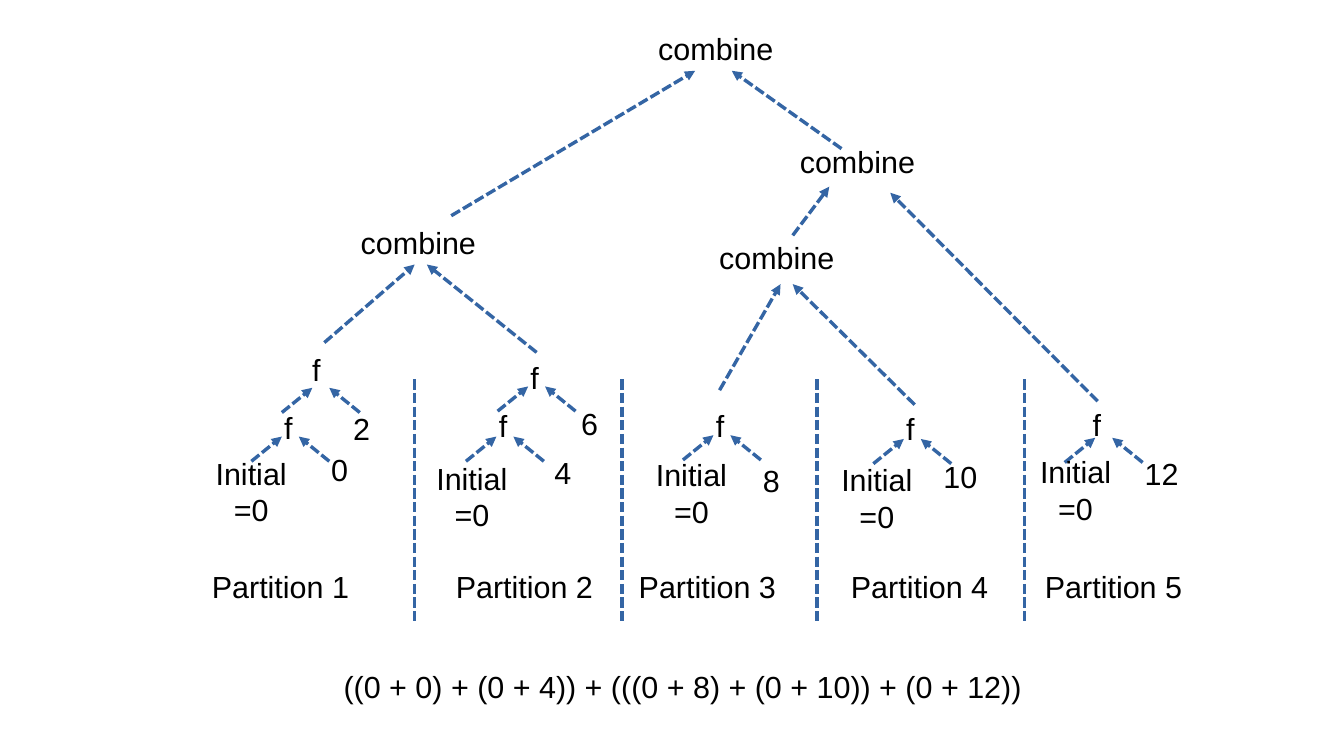
from dataclasses import dataclass

from lxml import etree
from pptx import Presentation
from pptx.dml.color import RGBColor
from pptx.enum.dml import MSO_LINE
from pptx.enum.shapes import MSO_CONNECTOR
from pptx.enum.text import MSO_ANCHOR, MSO_AUTO_SIZE, PP_ALIGN
from pptx.oxml.ns import qn
from pptx.util import Pt

STRAIGHT = MSO_CONNECTOR.STRAIGHT
DASH = MSO_LINE.SQUARE_DOT
MIDDLE = MSO_ANCHOR.MIDDLE
GROW = MSO_AUTO_SIZE.SHAPE_TO_FIT_TEXT
CENTER = PP_ALIGN.CENTER


@dataclass(frozen=True)
class Theme:
    font: str = "Arial"
    size: float = 18
    text: RGBColor = RGBColor(0, 0, 0)
    line: RGBColor = RGBColor(0x34, 0x65, 0xA4)
    line_width: float = 0


THEME = Theme()

# Box sizes as (width, height)
FUNCTION_BOX = (28, 27.4)
VALUE_BOX = (48.2, 27.4)
INITIAL_BOX = (76.3, 47.5)
COMBINE_BOX = (90.7, 37.4)
PARTITION_BOX = (144, 27.4)
FORMULA_BOX = (619.2, 47.5)

# Each partition: name centre x, initial centre, and its folds as
# (f centre, point between the arrow tips, value, value centre)
PARTITIONS = [
    (165.6, (148.3, 290.2), [
        ((170.3, 252), (171.4, 257.8), "0", (200.5, 277.2)),
        ((186.8, 218.2), (189.4, 229), "2", (213.5, 252.7))]),
    (309.6, (278.6, 293), [
        ((297, 251.3), (298.1, 257.8), "4", (332.3, 278.6)),
        ((315.7, 222.5), (316.8, 228.2), "6", (348.1, 249.8))]),
    (417.6, (408.2, 290.9), [
        ((425.2, 251.3), (426.2, 257), "8", (455.4, 283.7))]),
    (542.9, (517.7, 293.8), [
        ((537.5, 252.7), (538.6, 259.2), "10", (567, 281.5))]),
    (657.4, (635, 289.4), [
        ((647.6, 250.6), (651.6, 258.5), "12", (685.8, 279.4))]),
]
PARTITION_NAME_Y = 346.3
DIVIDERS_X = [244.8, 367.2, 482.4, 604.8]
DIVIDER_TOP, DIVIDER_BOTTOM = 224, 367.2

# Each combine: centre, then its two incoming arrows as (start, end)
COMBINES = [
    ((247, 143.3), [((191.5, 202.3), (244.8, 156.2)),
                    ((316.8, 208.1), (252, 156.2))]),
    ((458.6, 151.9), [((424.8, 230.4), (460.8, 167.8)),
                      ((540, 239), (468, 167.8))]),
    ((506.2, 95), [((468, 139), (489.6, 110.2)),
                   ((648, 236.9), (525.6, 113.8))]),
    ((422.6, 28.8), [((266.4, 127.4), (410.4, 41.8)),
                     ((496.8, 87.8), (432, 41.8))]),
]

FORMULA = "((0 + 0) + (0 + 4)) + (((0 + 8) + (0 + 10)) + (0 + 12))"
FORMULA_CENTER = (403.2, 405.4)

# Pair of arrows below each f
TIP_REACH, FOOT_REACH, ARROW_RISE = 5, 23, 14.6


def add_label(slide, lines, center, box):
    """Add centred text around a point, one paragraph per line."""
    (x, y), (width, height) = center, box
    shape = slide.shapes.add_textbox(
        Pt(x - width / 2), Pt(y - height / 2), Pt(width), Pt(height))
    frame = shape.text_frame
    frame.word_wrap = True
    frame.auto_size = GROW
    frame.vertical_anchor = MIDDLE
    frame.text = "\n".join(lines)
    for paragraph in frame.paragraphs:
        paragraph.alignment = CENTER
        paragraph.font.name = THEME.font
        paragraph.font.size = Pt(THEME.size)
        paragraph.font.color.rgb = THEME.text


def add_line(slide, start, end):
    """Add a dashed hairline without shadow."""
    connector = slide.shapes.add_connector(
        STRAIGHT, *(Pt(length) for length in (*start, *end)))
    connector.line.color.rgb = THEME.line
    connector.line.width = Pt(THEME.line_width)
    connector.line.dash_style = DASH
    etree.SubElement(connector._element.spPr, qn("a:effectLst"))
    return connector


def add_arrow(slide, start, end):
    connector = add_line(slide, start, end)
    etree.SubElement(connector.line._get_or_add_ln(), qn("a:tailEnd"),
                     type="triangle")


def add_fold(slide, center, tips, value, value_center):
    """Add an f with its two incoming arrows and its value."""
    add_label(slide, ["f"], center, FUNCTION_BOX)
    x, y = tips
    for side in (-1, 1):
        add_arrow(slide, (x + side * FOOT_REACH, y + ARROW_RISE),
                  (x + side * TIP_REACH, y))
    add_label(slide, [value], value_center, VALUE_BOX)


def add_partition(slide, number, name_x, initial_center, folds):
    for fold in folds:
        add_fold(slide, *fold)
    add_label(slide, ["Initial", "=0"], initial_center, INITIAL_BOX)
    add_label(slide, [f"Partition {number}"], (name_x, PARTITION_NAME_Y),
              PARTITION_BOX)


def add_combine(slide, center, arrows):
    add_label(slide, ["combine"], center, COMBINE_BOX)
    for start, end in arrows:
        add_arrow(slide, start, end)


def main():
    presentation = Presentation()
    presentation.slide_width = Pt(793.44)
    presentation.slide_height = Pt(446.4)
    slide = presentation.slides.add_slide(presentation.slide_layouts[6])

    # Partitions and the dividers between them
    for number, partition in enumerate(PARTITIONS, start=1):
        add_partition(slide, number, *partition)
    for x in DIVIDERS_X:
        add_line(slide, (x, DIVIDER_TOP), (x, DIVIDER_BOTTOM))

    # Combine tree
    for center, arrows in COMBINES:
        add_combine(slide, center, arrows)

    # Resulting expression
    add_label(slide, [FORMULA], FORMULA_CENTER, FORMULA_BOX)

    presentation.save("out.pptx")


if __name__ == "__main__":
    main()
